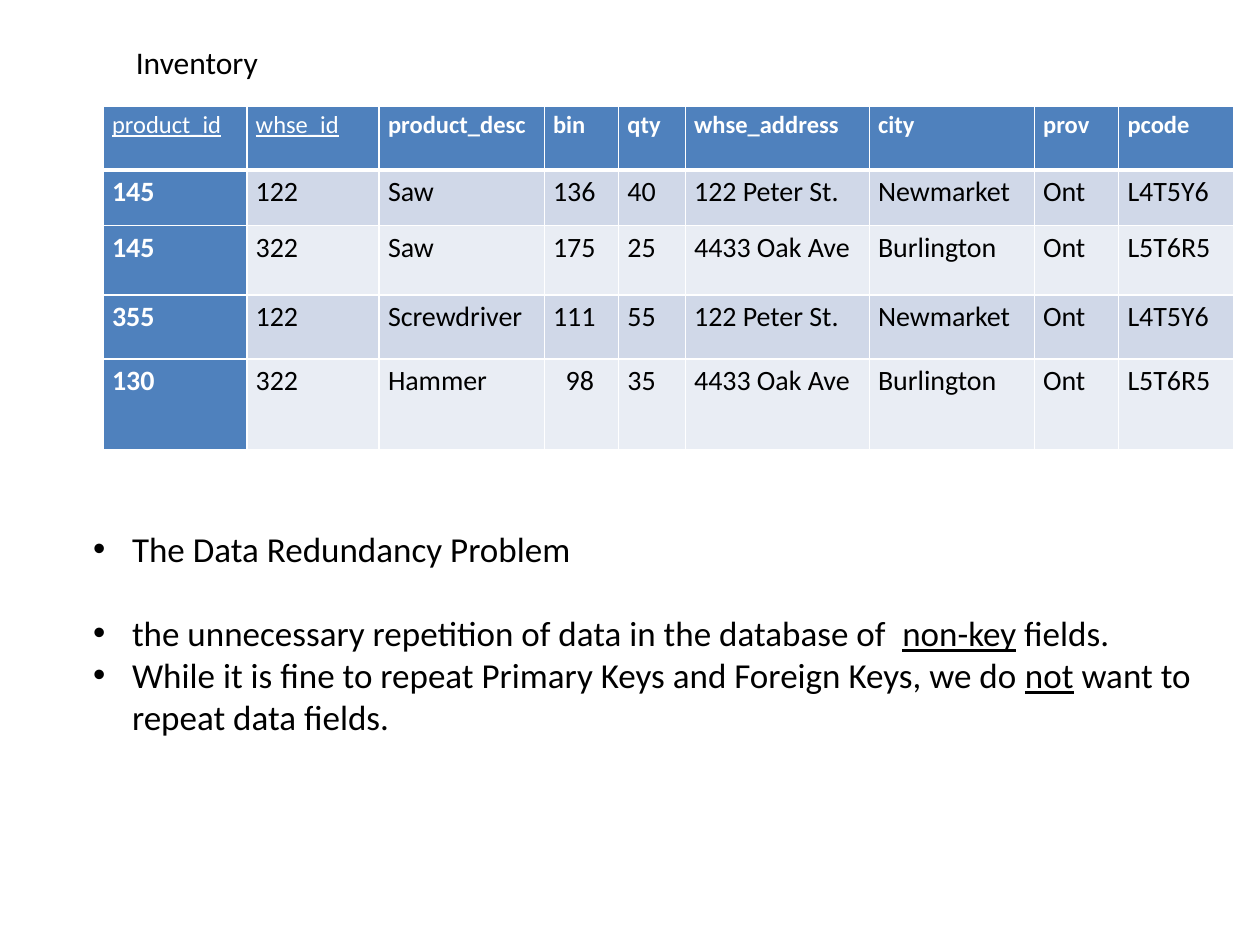
from lxml.etree import SubElement
from pptx import Presentation
from pptx.dml.color import RGBColor
from pptx.oxml.ns import qn
from pptx.util import Inches, Pt

WHITE = RGBColor(0xFF, 0xFF, 0xFF)
BLACK = RGBColor(0x00, 0x00, 0x00)
BLUE = RGBColor(0x4F, 0x81, 0xBD)
BANDS = [RGBColor(0xD0, 0xD8, 0xE8), RGBColor(0xE9, 0xED, 0xF4)]


def write(paragraph, text, size, color=BLACK, bold=False, indent=0, bullet=False,
          line_spacing=None, space_after=0):
    for position, part in enumerate(text.split("|")):
        if part:
            run = paragraph.add_run()
            run.text = part
            run.font.name = "Calibri"
            run.font.size = Pt(size)
            run.font.color.rgb = color
            run.font.bold = bold
            run.font.underline = position % 2 == 1
    paragraph.line_spacing = line_spacing
    paragraph.space_after = Pt(space_after)
    properties = paragraph._p.get_or_add_pPr()
    properties.set("marL", str(Inches(indent)))
    if bullet:
        properties.set("indent", str(-Inches(indent)))
        SubElement(properties, qn("a:buFont"), typeface="Arial")
        SubElement(properties, qn("a:buChar"), char="•")


def add_border(cell, side, width):
    line = SubElement(cell._tc.get_or_add_tcPr(), qn(f"a:ln{side}"), w=str(Pt(width)))
    SubElement(SubElement(line, qn("a:solidFill")), qn("a:srgbClr"), val=str(WHITE))


deck = Presentation()
deck.slide_width, deck.slide_height = Inches(10), Inches(7.5)
slide = deck.slides.add_slide(deck.slide_layouts[6])

headings = ["|product_id|", "|whse_id|", "product_desc", "bin", "qty",
            "whse_address", "city", "prov", "pcode"]
warehouses = {
    "122": ["122 Peter St.", "Newmarket", "Ont", "L4T5Y6"],
    "322": ["4433 Oak Ave", "Burlington", "Ont", "L5T6R5"],
}
stock = [
    ["145", "122", "Saw", "136", "40"],
    ["145", "322", "Saw", "175", "25"],
    ["355", "122", "Screwdriver", "111", "55"],
    ["130", "322", "Hammer", "98", "35"],
]
records = [headings] + [item + warehouses[item[1]] for item in stock]
column_widths = [1.14, 1.05, 1.31, 0.59, 0.53, 1.46, 1.31, 0.67, 0.91]
row_heights = [0.51, 0.44, 0.55, 0.51, 0.72]

inventory = slide.shapes.add_table(
    len(records), len(headings), Inches(0.82), Inches(0.84),
    Inches(sum(column_widths)), Inches(sum(row_heights))).table
inventory.first_row = inventory.horz_banding = False
for column, width in zip(inventory.columns, column_widths):
    column.width = Inches(width)

for r, record in enumerate(records):
    inventory.rows[r].height = Inches(row_heights[r])
    for c, value in enumerate(record):
        cell = inventory.cell(r, c)
        cell.margin_left = cell.margin_right = Inches(0.07)
        cell.margin_top = cell.margin_bottom = 0
        is_key = r == 0 or c == 0
        for side in "LRTB":
            thick = (r == 0 and side == "B") or (r == 1 and side == "T")
            add_border(cell, side, 3 if thick else 1)
        cell.fill.solid()
        cell.fill.fore_color.rgb = BLUE if is_key else BANDS[(r - 1) % 2]
        write(cell.text_frame.paragraphs[0], value, 14 if r == 0 else 16,
              color=WHITE if is_key else BLACK,
              bold=is_key and "|" not in value,
              indent=0.1 if value == "98" else 0, line_spacing=1.15)

points = [
    ("The Data Redundancy Problem", 24),
    ("the unnecessary repetition of data in the database of  |non-key| fields.", 0),
    ("While it is fine to repeat Primary Keys and Foreign Keys, "
     "we do |not| want to repeat data fields.", 0),
]
explanation = slide.shapes.add_textbox(
    Inches(0.64), Inches(4.14), Inches(9.33), Inches(2.12)).text_frame
explanation.word_wrap = True
for i, (point, gap) in enumerate(points):
    paragraph = explanation.add_paragraph() if i else explanation.paragraphs[0]
    write(paragraph, point, 20, indent=0.31, bullet=True, space_after=gap)

table_name = slide.shapes.add_textbox(
    Inches(0.98), Inches(0.29), Inches(1.18), Inches(0.4)).text_frame
table_name.word_wrap = False
write(table_name.paragraphs[0], "Inventory", 18)

deck.save("out.pptx")
